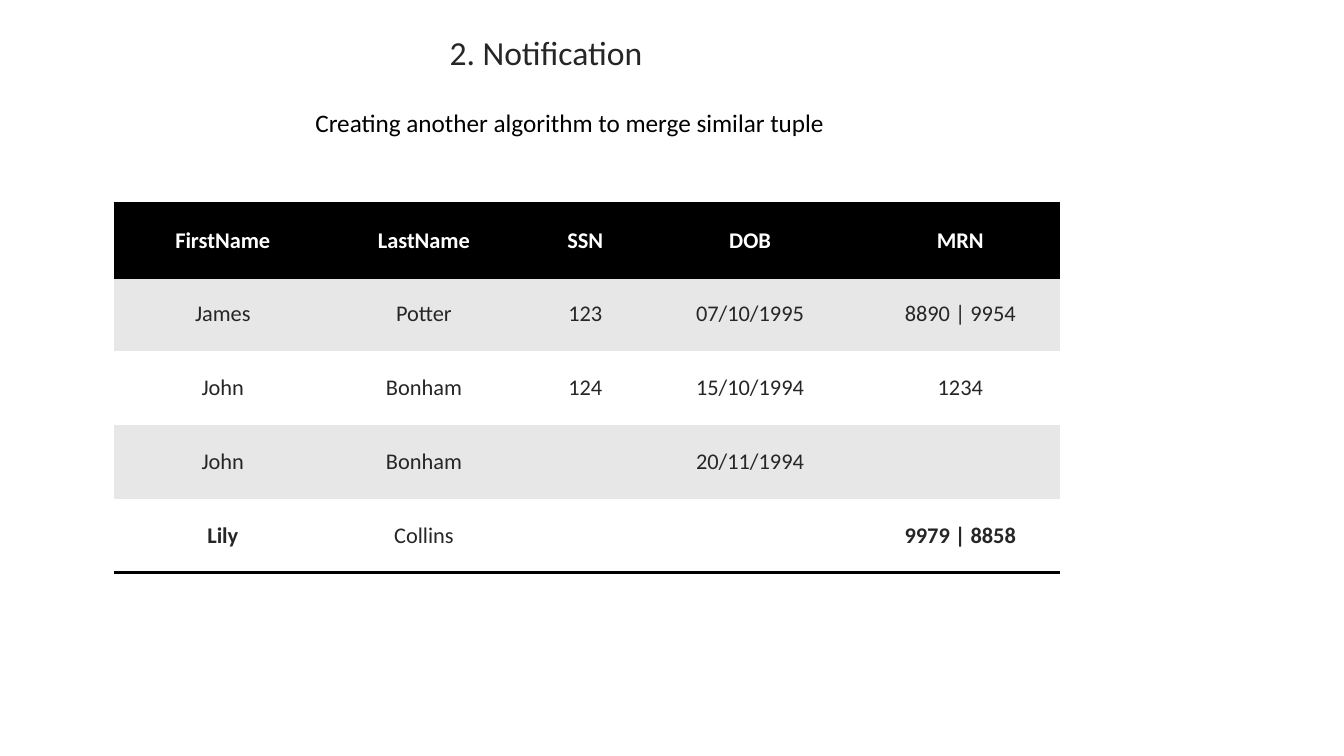
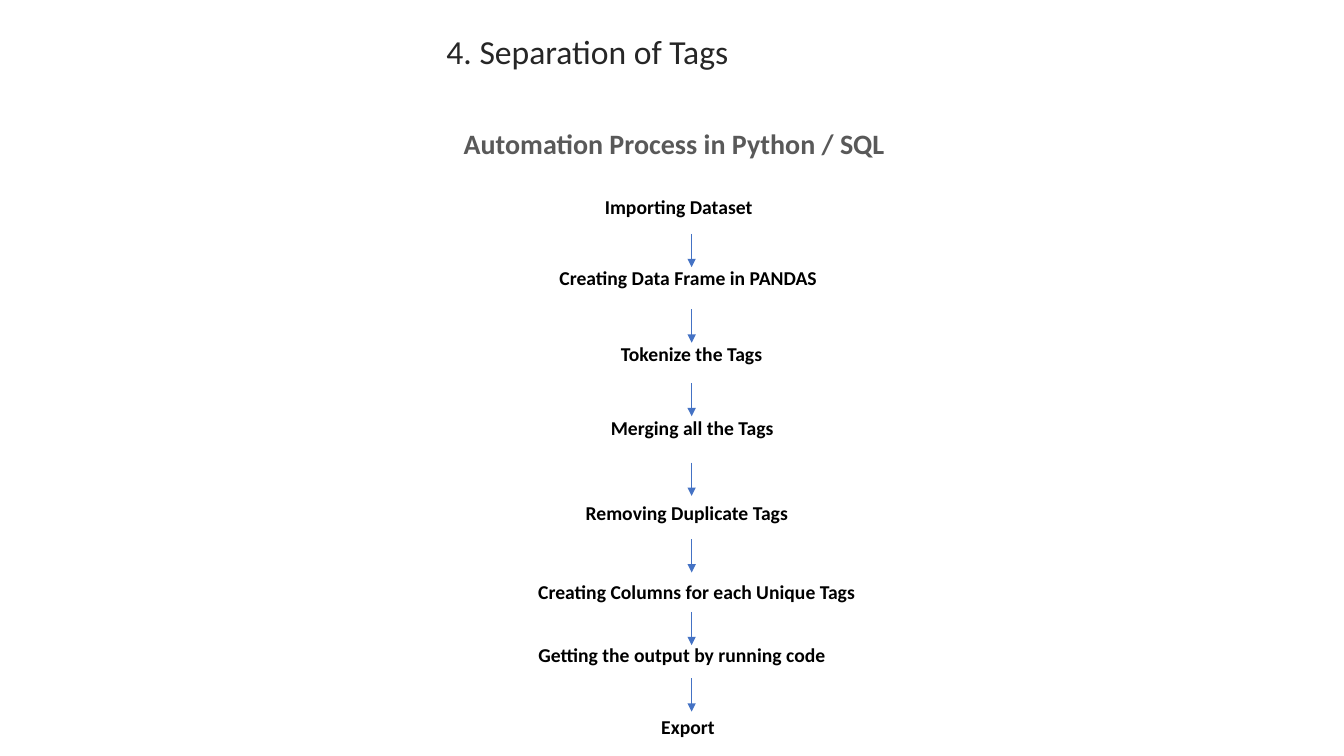
from dataclasses import dataclass

import pptx
import pptx.dml.color
import pptx.enum.shapes
import pptx.enum.text
import pptx.oxml
import pptx.oxml.ns
import pptx.util

EMU_PER_PX = 9144  # 100 px to the inch
ALIGN = pptx.enum.text.PP_ALIGN


@dataclass(frozen=True)
class Theme:
    font: str = "Calibri"
    black: str = "000000"
    white: str = "FFFFFF"
    ink: str = "262626"
    muted: str = "595959"
    band: str = "E7E7E7"
    arrow: str = "4472C4"
    title_size: int = 24
    heading_size: int = 20
    subtitle_size: int = 18
    cell_size: int = 16
    step_size: int = 14
    rule_width: int = 2
    arrow_width: float = 0.5


THEME = Theme()

COLUMN_WIDTHS = [201, 198, 122, 205, 212]
ROW_HEIGHT = 73
CELL_MARGIN_LEFT = 38
CELL_MARGIN = 23
PATIENTS = [
    ["FirstName", "LastName", "SSN", "DOB", "MRN"],
    ["James", "Potter", "123", "07/10/1995", "8890 | 9954"],
    ["John", "Bonham", "124", "15/10/1994", "1234"],
    ["John", "Bonham", "", "20/11/1994", ""],
    ["Lily", "Collins", "", "", "9979 | 8858"],
]
EMPHASISED = {"Lily", "9979 | 8858"}

STEPS = [  # text, left, top, width
    ("Importing Dataset", 590, 188, 242),
    ("Creating Data Frame in PANDAS", 545, 259, 417),
    ("Tokenize the Tags", 606, 334, 242),
    ("Merging all the Tags", 596, 408, 242),
    ("Removing Duplicate Tags", 571, 492, 311),
    ("Creating Columns for each Unique Tags", 524, 570, 460),
    ("Getting the output by running code", 524, 633, 392),
    ("Export", 646, 704, 130),
]
STEP_HEIGHT = 34
ARROW_X = 686
ARROW_LENGTH = 33
ARROW_TOPS = [232, 307, 380, 459, 535, 607, 673]


def px(length):
    return pptx.util.Emu(length * EMU_PER_PX)


def rgb(color):
    return pptx.dml.color.RGBColor.from_string(color)


def write_text(frame, text, *, size, color, bold=False, align=ALIGN.LEFT):
    paragraph = frame.paragraphs[0]
    paragraph.alignment = align
    run = paragraph.add_run()
    run.text = text
    run.font.name = THEME.font
    run.font.size = pptx.util.Pt(size)
    run.font.bold = bold
    run.font.color.rgb = rgb(color)


def add_text(slide, text, left, top, width, height, **text_format):
    shape = slide.shapes.add_textbox(px(left), px(top), px(width), px(height))
    shape.text_frame.word_wrap = True
    shape.text_frame.auto_size = pptx.enum.text.MSO_AUTO_SIZE.SHAPE_TO_FIT_TEXT
    write_text(shape.text_frame, text, **text_format)


def add_title(slide, text, left, top, width):
    add_text(slide, text, left, top, width, 50,
             size=THEME.title_size, color=THEME.ink)


def add_down_arrow(slide, x, top, length):
    connector = slide.shapes.add_connector(
        pptx.enum.shapes.MSO_CONNECTOR.STRAIGHT,
        px(x), px(top), px(x), px(top + length))
    connector.line.color.rgb = rgb(THEME.arrow)
    connector.line.width = pptx.util.Pt(THEME.arrow_width)
    properties = connector.element.spPr
    line = properties.find(pptx.oxml.ns.qn("a:ln"))
    line.append(pptx.oxml.parse_xml(
        f'<a:tailEnd {pptx.oxml.ns.nsdecls("a")} type="triangle"/>'))
    properties.append(pptx.oxml.parse_xml(
        f'<a:effectLst {pptx.oxml.ns.nsdecls("a")}/>'))


def set_borders(cell, ruled_sides):
    """Rule the given sides (from "LRTB") and clear the others."""
    properties = cell._tc.get_or_add_tcPr()
    width = pptx.util.Pt(THEME.rule_width)
    for position, side in enumerate("LRTB"):
        fill = "<a:noFill/>"
        if side in ruled_sides:
            fill = f'<a:solidFill><a:srgbClr val="{THEME.black}"/></a:solidFill>'
        properties.insert(position, pptx.oxml.parse_xml(
            f'<a:ln{side} {pptx.oxml.ns.nsdecls("a")} w="{width}">{fill}</a:ln{side}>'))


def format_cell(cell, text, fill, ruled_sides, **text_format):
    cell.fill.solid()
    cell.fill.fore_color.rgb = rgb(fill)
    set_borders(cell, ruled_sides)
    if not text:
        return
    cell.margin_left = px(CELL_MARGIN_LEFT)
    cell.margin_top = cell.margin_right = cell.margin_bottom = px(CELL_MARGIN)
    cell.vertical_anchor = pptx.enum.text.MSO_ANCHOR.MIDDLE
    write_text(cell.text_frame, text, size=THEME.cell_size,
               align=ALIGN.CENTER, **text_format)


def add_banded_table(slide, rows, left, top):
    """Add a table with a black header, grey odd rows and a closing rule."""
    table = slide.shapes.add_table(
        len(rows), len(COLUMN_WIDTHS), px(left), px(top),
        px(sum(COLUMN_WIDTHS)), px(ROW_HEIGHT * len(rows))).table
    table.first_row = table.horz_banding = False
    for column, width in zip(table.columns, COLUMN_WIDTHS):
        column.width = px(width)
    for row_index, row in enumerate(rows):
        header = row_index == 0
        fill = THEME.black if header else THEME.band if row_index % 2 else THEME.white
        color = THEME.white if header else THEME.ink
        ruled_sides = ("T" if row_index < 2 else "") + (
            "B" if row_index in (0, len(rows) - 1) else "")
        for column_index, text in enumerate(row):
            format_cell(table.cell(row_index, column_index), text, fill, ruled_sides,
                        color=color, bold=header or text in EMPHASISED)


def build_notification(slide):
    add_banded_table(slide, PATIENTS, 113, 202)
    add_title(slide, "2. Notification", 436, 27, 299)
    add_text(slide, "Creating another algorithm to merge similar tuple",
             303, 102, 660, 40, size=THEME.subtitle_size, color=THEME.black)


def build_separation_of_tags(slide):
    add_title(slide, "4. Separation of Tags", 433, 26, 414)
    add_text(slide, "Automation Process in Python / SQL", 450, 121, 589, 44,
             size=THEME.heading_size, color=THEME.muted, bold=True)
    for text, left, top, width in STEPS:
        add_text(slide, text, left, top, width, STEP_HEIGHT,
                 size=THEME.step_size, color=THEME.black, bold=True)
    for top in ARROW_TOPS:
        add_down_arrow(slide, ARROW_X, top, ARROW_LENGTH)


def main():
    presentation = pptx.Presentation()
    presentation.slide_width = px(1333)
    presentation.slide_height = px(750)
    blank_layout = presentation.slide_layouts[6]
    for build in (build_notification, build_separation_of_tags):
        build(presentation.slides.add_slide(blank_layout))
    presentation.save("out.pptx")


if __name__ == "__main__":
    main()
